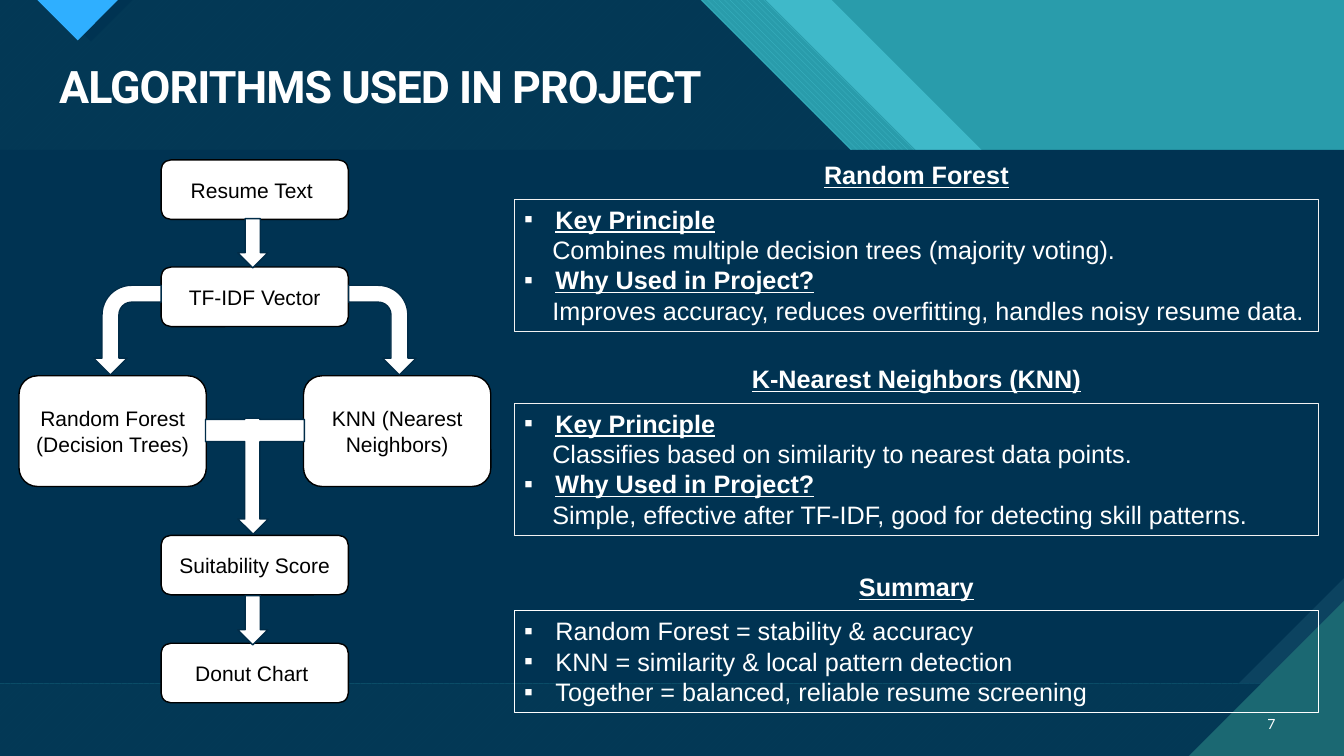
from lxml.etree import SubElement
from pptx import Presentation
from pptx.dml.color import RGBColor
from pptx.enum.dml import MSO_PATTERN
from pptx.enum.shapes import MSO_SHAPE
from pptx.enum.text import MSO_ANCHOR, PP_ALIGN
from pptx.oxml.ns import qn
from pptx.util import Cm, Pt

WHITE = RGBColor(0xFF, 0xFF, 0xFF)
BLACK = RGBColor(0, 0, 0)
FRAME = RGBColor(0xF2, 0xF2, 0xF2)
NAVY = RGBColor(0x00, 0x33, 0x52)
NAVY_EDGE = RGBColor(0x00, 0x2C, 0x48)
NAVY_STRIPE = RGBColor(0x05, 0x3B, 0x58)
NAVY_BASE = RGBColor(0x03, 0x38, 0x55)
CORNER = RGBColor(0x0C, 0x43, 0x60)
DARK_TEAL = RGBColor(0x1B, 0x68, 0x72)
TEAL = RGBColor(0x29, 0x9C, 0xAB)
LIGHT_TEAL = RGBColor(0x3F, 0xB9, 0xC9)
BLUE = RGBColor(0x2F, 0xAF, 0xFF)

WIDTH, HEIGHT = 33.87, 19.05
HEADER_H = 3.78
FOOTER_TOP = 17.22
PANEL_LEFT, PANEL_W = 12.96, 20.27
STEP_LEFT, STEP_W, STEP_H = 4.06, 4.72, 1.5
BRANCH_TOP, BRANCH_H = 9.47, 2.79

PRINCIPLE, REASON = "Key Principle", "Why Used in Project?"
PANELS = [  # heading, heading top, box top, box height, border, lines
    ("Random Forest", 3.89, 5.02, 3.33, FRAME, [
        (PRINCIPLE, "head"),
        ("Combines multiple decision trees (majority voting).", "detail"),
        (REASON, "head"),
        ("Improves accuracy, reduces overfitting, handles noisy resume data.", "detail")]),
    ("K-Nearest Neighbors (KNN)", 9.04, 10.16, 3.33, FRAME, [
        (PRINCIPLE, "head"),
        ("Classifies based on similarity to nearest data points.", "detail"),
        (REASON, "head"),
        ("Simple, effective after TF-IDF, good for detecting skill patterns.", "detail")]),
    ("Summary", 14.27, 15.39, 2.57, WHITE, [
        ("Random Forest = stability & accuracy", "point"),
        ("KNN = similarity & local pattern detection", "point"),
        ("Together = balanced, reliable resume screening", "point")]),
]
STEPS = [
    ("Resume Text ", STEP_LEFT, 4.03, STEP_H),
    ("TF-IDF Vector", STEP_LEFT, 6.73, STEP_H),
    ("Random Forest (Decision Trees)", 0.48, BRANCH_TOP, BRANCH_H),
    ("KNN (Nearest Neighbors)", 7.65, BRANCH_TOP, BRANCH_H),
    ("Suitability Score", STEP_LEFT, 13.49, STEP_H),
    ("Donut Chart ", STEP_LEFT, 16.21, STEP_H),
]
MERGE_ARROW = [
    (6.17, 10.54), (6.55, 10.54), (6.55, 10.57), (7.67, 10.57), (7.67, 11.13),
    (6.55, 11.13), (6.55, 13.08), (6.76, 13.08), (6.38, 13.46), (5.99, 13.08),
    (6.17, 13.08), (6.17, 11.13), (5.18, 11.13), (5.18, 10.57), (6.17, 10.57)]


def paint(shape, fill=None, line=None, line_width=1, stripes=None, pattern=None):
    shape.shadow.inherit = False
    if fill is None:
        shape.fill.background()
    elif pattern is not None:
        shape.fill.patterned()
        shape.fill.pattern = pattern
        shape.fill.fore_color.rgb = stripes
        shape.fill.back_color.rgb = fill
    else:
        shape.fill.solid()
        shape.fill.fore_color.rgb = fill
    if line is None:
        shape.line.fill.background()
    else:
        shape.line.color.rgb = line
        shape.line.width = Pt(line_width)


def add_block(slide, kind, left, top, width, height, **look):
    block = slide.shapes.add_shape(kind, Cm(left), Cm(top), Cm(width), Cm(height))
    paint(block, **look)
    return block


def add_outline(slide, points, **look):
    corners = [(Cm(x), Cm(y)) for x, y in points]
    builder = slide.shapes.build_freeform(*corners[0], scale=1.0)
    builder.add_line_segments(corners[1:], close=True)
    paint(builder.convert_to_shape(), **look)


def style(paragraph, size, color, name="Arial", align=PP_ALIGN.LEFT, strong=False, underline=False):
    paragraph.alignment = align
    font = paragraph.font
    font.name, font.size, font.bold, font.underline = name, Pt(size), strong, underline
    font.color.rgb = color


def add_label(slide, text, left, top, width, height, size, **look):
    frame = slide.shapes.add_textbox(Cm(left), Cm(top), Cm(width), Cm(height)).text_frame
    frame.word_wrap = True
    frame.text = text
    style(frame.paragraphs[0], size, WHITE, **look)
    return frame


def indent(paragraph, role):
    properties = paragraph._p.get_or_add_pPr()
    if role == "detail":
        properties.set("marL", str(Cm(0.71)))
        return
    properties.set("marL", str(Cm(0.79)))
    properties.set("indent", str(-Cm(0.79)))
    SubElement(properties, qn("a:buFont"), typeface="Arial")
    SubElement(properties, qn("a:buChar"), char="▪")


def add_panel(slide, heading, heading_top, top, height, border, lines):
    add_label(slide, heading, PANEL_LEFT, heading_top, PANEL_W, 1.02, 18,
              align=PP_ALIGN.CENTER, strong=True, underline=True)
    box = add_block(slide, MSO_SHAPE.RECTANGLE, PANEL_LEFT, top, PANEL_W, height,
                    line=border, line_width=0.75)
    frame = box.text_frame
    frame.word_wrap = True
    frame.vertical_anchor = MSO_ANCHOR.TOP
    frame.text = "\n".join(text for text, _ in lines)
    for paragraph, (_, role) in zip(frame.paragraphs, lines):
        indent(paragraph, role)
        style(paragraph, 18, WHITE, strong=role == "head", underline=role == "head")


def add_step(slide, text, left, top, height):
    step = add_block(slide, MSO_SHAPE.ROUNDED_RECTANGLE, left, top, STEP_W, height,
                     fill=WHITE, line=BLACK)
    frame = step.text_frame
    frame.word_wrap = True
    frame.vertical_anchor = MSO_ANCHOR.MIDDLE
    frame.text = text
    style(frame.paragraphs[0], 15, BLACK, align=PP_ALIGN.CENTER)


def add_backdrop(slide):
    def header_band(left, right, **look):
        add_outline(slide, [(left, 0), (right, 0), (right + HEADER_H, HEADER_H),
                            (left + HEADER_H, HEADER_H)], **look)

    striped = dict(fill=NAVY_BASE, stripes=NAVY_STRIPE, pattern=MSO_PATTERN.WIDE_UPWARD_DIAGONAL)
    # Header
    header_band(17.65, 19.3, fill=TEAL, stripes=LIGHT_TEAL,
                pattern=MSO_PATTERN.WIDE_DOWNWARD_DIAGONAL)
    header_band(19.3, 20.96, fill=LIGHT_TEAL)
    add_outline(slide, [(0, 0), (17.65, 0), (17.65 + HEADER_H, HEADER_H), (0, HEADER_H)], **striped)
    add_outline(slide, [(1.22, 0), (3.33, 0), (2.29, 1.04)], fill=NAVY)
    add_outline(slide, [(0.94, 0), (2.97, 0), (1.96, 1.02)], fill=BLUE)
    # Body, footer and corner
    add_block(slide, MSO_SHAPE.RECTANGLE, 0, FOOTER_TOP, WIDTH, HEIGHT - FOOTER_TOP, **striped)
    add_block(slide, MSO_SHAPE.RECTANGLE, 0, HEADER_H, WIDTH, FOOTER_TOP - HEADER_H, fill=NAVY)
    snip = 2.65
    add_outline(slide, [(WIDTH, FOOTER_TOP - snip), (WIDTH, FOOTER_TOP),
                        (WIDTH - snip, FOOTER_TOP)], fill=CORNER)
    corner = 3.91
    add_outline(slide, [(WIDTH - corner, HEIGHT), (WIDTH, HEIGHT - corner), (WIDTH, HEIGHT)],
                fill=DARK_TEAL)


def add_flow(slide):
    for step in STEPS:
        add_step(slide, *step)
    arrow = dict(fill=WHITE, line=NAVY_EDGE)
    for top in (5.51, 15.01):
        add_block(slide, MSO_SHAPE.DOWN_ARROW, 5.99, top, 0.76, 1.24, **arrow)
    for left, turn in ((8.51, 90), (2.08, 270)):
        bend = add_block(slide, MSO_SHAPE.BENT_ARROW, left, 7.47, 2.26, 1.7, **arrow)
        bend.rotation = turn
        if turn == 270:
            bend.element.spPr.find(qn("a:xfrm")).set("flipH", "1")
    add_outline(slide, MERGE_ARROW, **arrow)


def main():
    deck = Presentation()
    deck.slide_width, deck.slide_height = Cm(WIDTH), Cm(HEIGHT)
    slide = deck.slides.add_slide(deck.slide_layouts[6])
    slide.background.fill.solid()
    slide.background.fill.fore_color.rgb = TEAL
    add_backdrop(slide)

    # Title
    title = add_label(slide, "ALGORITHMS USED IN PROJECT", 1.24, 1.5, 31.14, 1.5, 32,
                      name="Roboto", strong=True).paragraphs[0]
    title.line_spacing = 0.9
    title.runs[0].font._element.set("spc", "-70")

    # Algorithm notes and flow chart
    for panel in PANELS:
        add_panel(slide, *panel)
    add_flow(slide)

    # Page number, clear of the summary frame
    page = add_label(slide, "7", 31.27, 17.74, 1.12, 1.02, 10, name="Lato", align=PP_ALIGN.RIGHT)
    page.vertical_anchor = MSO_ANCHOR.MIDDLE
    deck.save("out.pptx")


if __name__ == "__main__":
    main()
